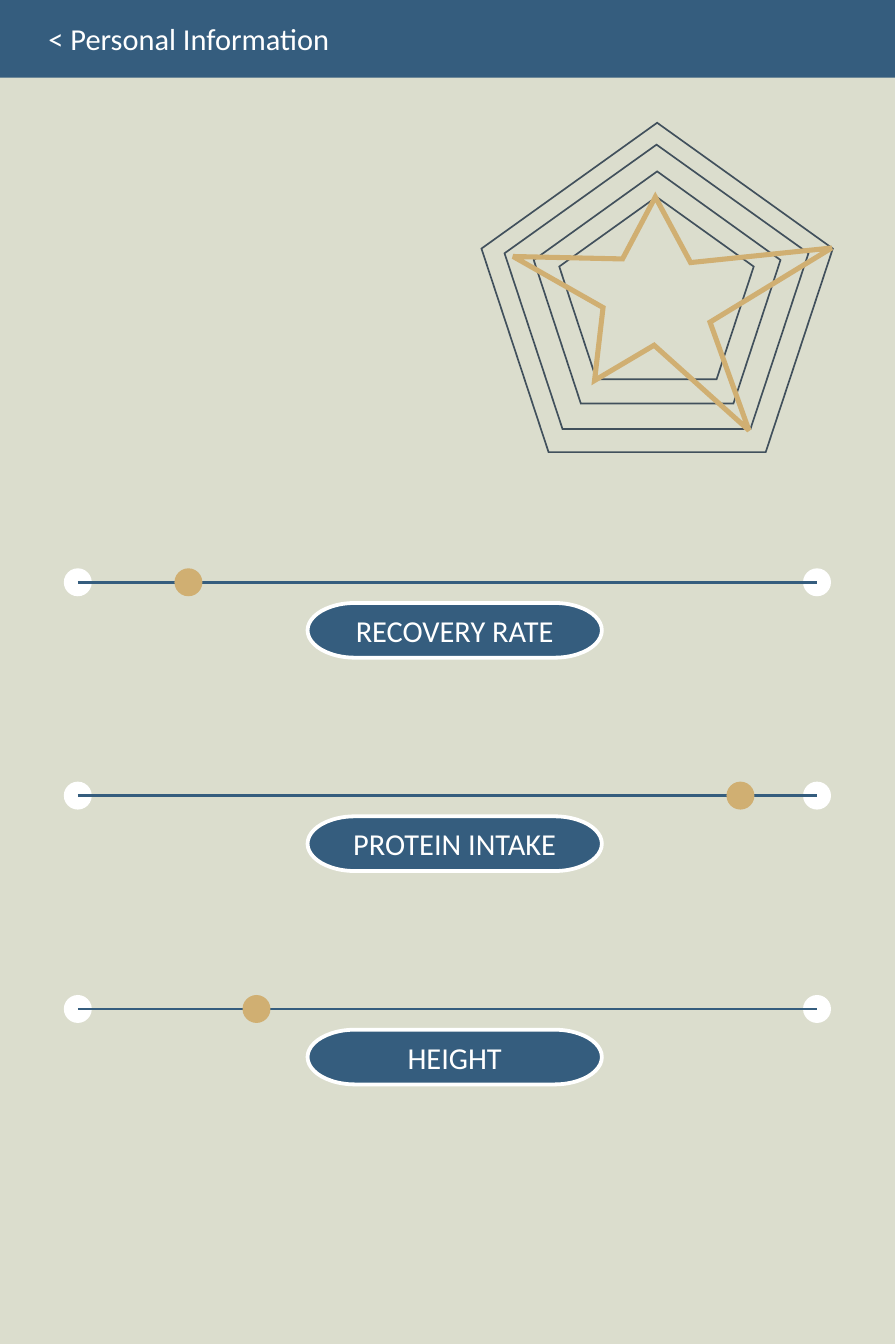
"""Build the personal information screen with its radar and three sliders."""
from dataclasses import dataclass
from typing import Any

from lxml import etree
from pptx import Presentation
from pptx.dml.color import RGBColor
from pptx.enum.shapes import MSO_CONNECTOR, MSO_SHAPE
from pptx.enum.text import MSO_ANCHOR, MSO_AUTO_SIZE, PP_ALIGN
from pptx.oxml.ns import qn
from pptx.util import Inches, Pt

RECTANGLE = MSO_SHAPE.RECTANGLE
PENTAGON = MSO_SHAPE.REGULAR_PENTAGON
PILL = MSO_SHAPE.FLOWCHART_TERMINATOR
CIRCLE = MSO_SHAPE.OVAL
STRAIGHT = MSO_CONNECTOR.STRAIGHT
MIDDLE = MSO_ANCHOR.MIDDLE
CENTER = PP_ALIGN.CENTER
LEFT = PP_ALIGN.LEFT
GROW = MSO_AUTO_SIZE.SHAPE_TO_FIT_TEXT

BLUE, SAND, GOLD, SLATE, WHITE = "355D7E", "DBDDCD", "D0AF72", "41505C", "FFFFFF"
PAGE = {"slide_width": Pt(530), "slide_height": Pt(796)}
TRACK_START, TRACK_END = 0.64, 6.72
FIRST_TRACK, LAST_TRACK = 4.79, 8.3
KNOB_SIZE = 0.23
LABEL_FONT = {"name": "Calibri", "size": Pt(18)}
HEADING_FRAME = {"word_wrap": True, "auto_size": GROW}
PILL_FRAME = {"word_wrap": True, "vertical_anchor": MIDDLE}


@dataclass(frozen=True)
class Box:
    left: float
    top: float
    width: float
    height: float

    def inches(self) -> list[int]:
        return [Inches(v) for v in (self.left, self.top, self.width, self.height)]


@dataclass(frozen=True)
class Slider:
    label: str
    value_x: float


SLIDERS = (
    Slider("RECOVERY RATE", 1.55),
    Slider("PROTEIN INTAKE", 6.09),
    Slider("HEIGHT", 2.11),
)
RADAR_RINGS = (
    Box(3.96, 1.01, 2.89, 2.71),
    Box(4.15, 1.19, 2.5, 2.34),
    Box(4.39, 1.41, 2.03, 1.91),
    Box(4.6, 1.62, 1.6, 1.5),
)
RADAR_STAR = (
    (4.22, 2.11), (5.12, 2.13), (5.39, 1.62), (5.68, 2.16), (6.84, 2.04),
    (5.84, 2.65), (6.16, 3.54), (5.38, 2.84), (4.89, 3.13), (4.96, 2.53),
)


def rgb(value: str) -> RGBColor:
    return RGBColor.from_string(value)


def apply(target: Any, values: dict[str, Any]) -> None:
    for name, value in values.items():
        setattr(target, name, value)


def paint(shape: Any, fill: str | None = None, outline: str | None = None,
          weight: float = 1) -> None:
    shape.shadow.inherit = False
    if fill:
        shape.fill.solid()
        shape.fill.fore_color.rgb = rgb(fill)
    else:
        shape.fill.background()
    if outline:
        shape.line.color.rgb = rgb(outline)
        shape.line.width = Pt(weight)
        edge = shape._element.spPr.find(qn("a:ln"))
        etree.SubElement(edge, qn("a:miter"), lim="800000")
    else:
        shape.line.fill.background()


def write(shape: Any, text: str, frame: dict[str, Any], alignment: Any) -> None:
    apply(shape.text_frame, frame)
    paragraph = shape.text_frame.paragraphs[0]
    paragraph.alignment = alignment
    run = paragraph.add_run()
    run.text = text
    apply(run.font, LABEL_FONT)
    run.font.color.rgb = rgb(WHITE)


def draw_header(shapes: Any) -> None:
    bar = shapes.add_shape(RECTANGLE, 0, 0, PAGE["slide_width"], Inches(0.64))
    paint(bar, BLUE)
    heading = shapes.add_textbox(*Box(0.3, 0.12, 5.92, 0.71).inches())
    write(heading, "< Personal Information", HEADING_FRAME, LEFT)


def draw_knob(shapes: Any, x: float, y: float, color: str) -> None:
    place = Box(x - KNOB_SIZE / 2, y - KNOB_SIZE / 2, KNOB_SIZE, KNOB_SIZE)
    paint(shapes.add_shape(CIRCLE, *place.inches()), color)


def draw_slider(shapes: Any, slider: Slider, y: float) -> None:
    pill = shapes.add_shape(PILL, *Box(2.53, y + 0.17, 2.42, 0.45).inches())
    paint(pill, BLUE, WHITE, 2.25)
    write(pill, slider.label, PILL_FRAME, CENTER)
    for end in (TRACK_END, TRACK_START):
        draw_knob(shapes, end, y, WHITE)
    track = shapes.add_connector(
        STRAIGHT, Inches(TRACK_START), Inches(y), Inches(TRACK_END), Inches(y))
    track.line.color.rgb = rgb(BLUE)
    track.line.width = Pt(1.5)
    etree.SubElement(track._element.spPr, qn("a:effectLst"))
    draw_knob(shapes, slider.value_x, y, GOLD)


def draw_radar(shapes: Any) -> None:
    for ring in RADAR_RINGS:
        paint(shapes.add_shape(PENTAGON, *ring.inches()), outline=SLATE)
    start, *corners = [(Inches(x), Inches(y)) for x, y in RADAR_STAR]
    outline = shapes.build_freeform(*start)
    outline.add_line_segments(corners, close=True)
    paint(outline.convert_to_shape(), outline=GOLD, weight=3)


def main() -> None:
    deck = Presentation()
    apply(deck, PAGE)
    slide = deck.slides.add_slide(deck.slide_layouts[6])
    slide.background.fill.solid()
    slide.background.fill.fore_color.rgb = rgb(SAND)
    draw_header(slide.shapes)
    track_gap = (LAST_TRACK - FIRST_TRACK) / (len(SLIDERS) - 1)
    for row, slider in enumerate(SLIDERS):
        draw_slider(slide.shapes, slider, FIRST_TRACK + row * track_gap)
    draw_radar(slide.shapes)
    deck.save("out.pptx")


if __name__ == "__main__":
    main()
